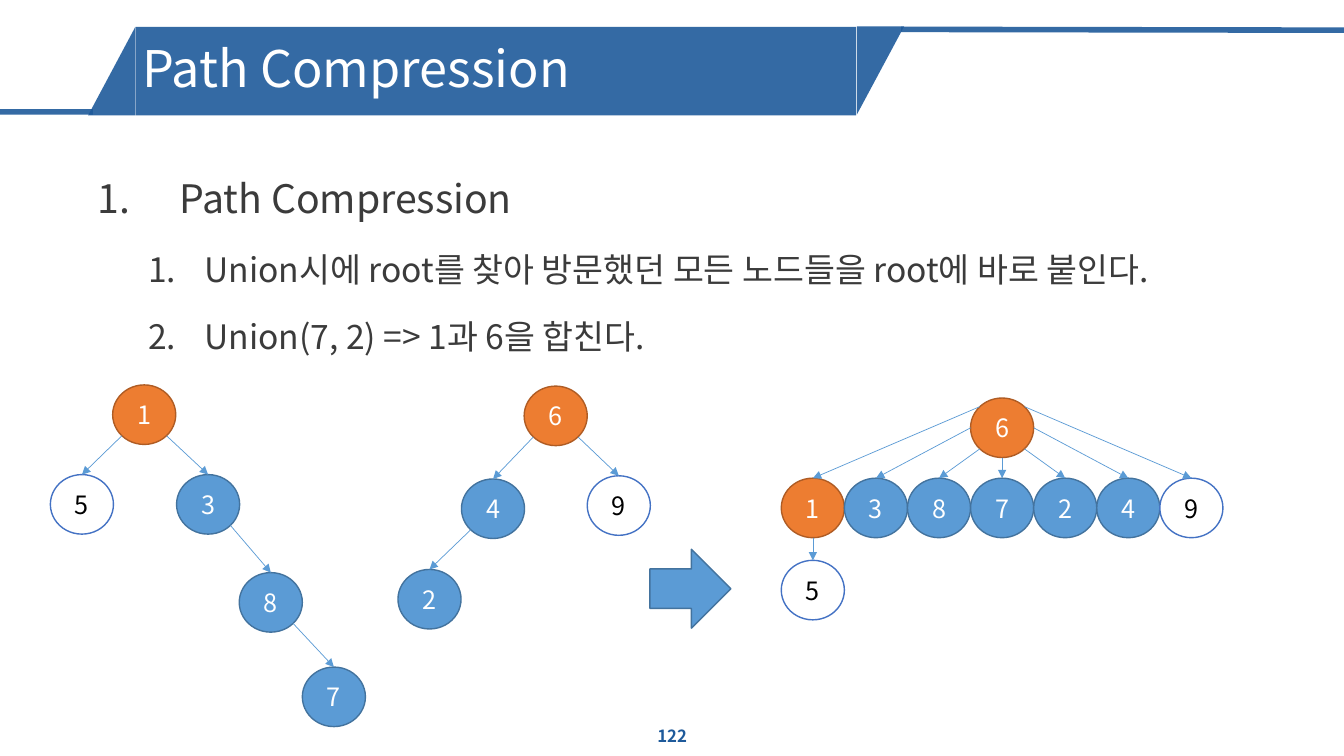
from lxml import etree
from pptx import Presentation
from pptx import util as u
from pptx.dml.color import RGBColor
from pptx.enum import shapes, text
from pptx.oxml.ns import qn

Cm, Pt = u.Cm, u.Pt
SHAPE, ALIGN = shapes.MSO_SHAPE, text.PP_ALIGN
FONT = "Noto Sans CJK KR"
COLORS = {"banner": "1E5A9B", "white": "FFFFFF", "black": "000000", "body": "3B3B3B",
          "orange": "ED7D31", "orange_line": "AF5C24", "blue": "5B9BD5",
          "blue_line": "43739E", "leaf_line": "4472C4"}
RGB = {name: RGBColor.from_string(value) for name, value in COLORS.items()}


def write(p, content, size=18, color="white", bold=False, align=ALIGN.LEFT,
          spacing=1.0, before=0):
    p.alignment, p.line_spacing, p.space_before = align, spacing, Pt(before)
    r = p.add_run()
    r.text = content
    r.font.size, r.font.bold, r.font.name = Pt(size), bold, FONT
    r.font.color.rgb = RGB[color]
    etree.SubElement(r.font._element, qn("a:ea"), typeface=FONT)


def add_line(start, end, color, width, arrow=False):
    points = [Cm(v) for v in (*start, *end)]
    c = s.shapes.add_connector(shapes.MSO_CONNECTOR.STRAIGHT, *points)
    c.line.color.rgb, c.line.width = RGB[color], Pt(width)
    if arrow:
        etree.SubElement(c.line._get_or_add_ln(), qn("a:tailEnd"), type="triangle")
    etree.SubElement(c._element.spPr, qn("a:effectLst"))
    return c


prs = Presentation()
prs.slide_width, prs.slide_height = Cm(33.87), Cm(19.05)
s = prs.slides.add_slide(prs.slide_layouts[1])
title, body = s.placeholders

# Banner: a bar with slanted ends and a rule on each side
banner = [add_line((2.34, 2.82), (0, 2.82), "banner", 4),
          add_line((33.87, 0.76), (22.71, 0.74), "banner", 4)]
for kind, left, top, width, height, turn in [
        (SHAPE.RIGHT_TRIANGLE, 21.08, 1.18, 2.22, 1.19, 90),
        (SHAPE.RIGHT_TRIANGLE, 1.7, 1.2, 2.23, 1.19, 270),
        (SHAPE.RECTANGLE, 3.42, 0.68, 18.16, 2.23, 0)]:
    sp = s.shapes.add_shape(kind, Cm(left), Cm(top), Cm(width), Cm(height))
    sp.rotation = turn
    sp.shadow.inherit = False
    sp.fill.solid()
    sp.fill.fore_color.rgb = RGB["banner"]
    sp.line.fill.background()
    banner.append(sp)
for sp in banner:
    for clr in sp._element.spPr.iter(qn("a:srgbClr")):
        etree.SubElement(clr, qn("a:alpha"), val="90000")
    s.shapes._spTree.remove(sp._element)
    title._element.addprevious(sp._element)

# Title and numbered list
for sp, box, anchor in [(title, (3.33, 0.76, 18.16, 2.06), text.MSO_ANCHOR.MIDDLE),
                        (body, (2.21, 3.68, 29.16, 14.25), text.MSO_ANCHOR.TOP)]:
    sp.left, sp.top, sp.width, sp.height = map(Cm, box)
    tf = sp.text_frame
    tf.word_wrap, tf.auto_size, tf.vertical_anchor = True, text.MSO_AUTO_SIZE.NONE, anchor
write(title.text_frame.paragraphs[0], "Path Compression", size=36, spacing=0.9)

items = [(0, "Path Compression", 28),
         (1, "Union시에 root를 찾아 방문했던 모든 노드들을 root에 바로 붙인다.", 24),
         (1, "Union(7, 2) => 1과 6을 합친다.", 24)]
tf = body.text_frame
for i, (level, content, size) in enumerate(items):
    p = tf.add_paragraph() if i else tf.paragraphs[0]
    p.level = level
    margin, indent = [(2.06, -2.06), (2.69, -1.42)][level]
    pPr = p._p.get_or_add_pPr()
    pPr.set("marL", str(Cm(margin)))
    pPr.set("indent", str(Cm(indent)))
    etree.SubElement(pPr, qn("a:buFont"), typeface="+mj-lt")
    etree.SubElement(pPr, qn("a:buAutoNum"), type="arabicPeriod")
    write(p, content, size=size, color="body", spacing=1.5, before=5 if i else 0)

# Page number
tb = s.shapes.add_textbox(Cm(13.13), Cm(18.03), Cm(7.62), Cm(1.02))
tf = tb.text_frame
tf.word_wrap, tf.vertical_anchor = True, text.MSO_ANCHOR.MIDDLE
write(tf.paragraphs[0], "122", size=12, color="banner", bold=True, align=ALIGN.CENTER)

# Trees before and after the union: node label -> left, top
W, H = 1.59, 1.5
before = {"1": (2.84, 9.7), "5": (1.27, 11.96), "3": (4.45, 11.96), "8": (6.03, 14.43),
          "7": (7.62, 16.81), "6": (13.21, 9.73), "4": (11.63, 12.07), "9": (14.8, 11.99),
          "2": (10.03, 14.35)}
after = {label: (19.69 + W * i, 12.05) for i, label in enumerate("1387249")}
after.update({"6": (24.46, 10.03), "5": (19.69, 14.12)})

STYLES = {"root": ("orange", "orange_line", "white"), "leaf": ("white", "leaf_line", "black"),
          "inner": ("blue", "blue_line", "white")}
roles = {"1": "root", "6": "root", "5": "leaf", "9": "leaf"}
for tree in (before, after):
    for label, (left, top) in tree.items():
        fill, line, ink = STYLES[roles.get(label, "inner")]
        sp = s.shapes.add_shape(SHAPE.OVAL, Cm(left), Cm(top), Cm(W), Cm(H))
        sp.shadow.inherit = False
        sp.fill.solid()
        sp.fill.fore_color.rgb = RGB[fill]
        sp.line.color.rgb, sp.line.width = RGB[line], Pt(1)
        sp.text_frame.vertical_anchor = text.MSO_ANCHOR.MIDDLE
        write(sp.text_frame.paragraphs[0], label, color=ink, align=ALIGN.CENTER)

# Edges: each leaves the parent's rim and ends on top of the child
D = 0.71  # diagonal point of the rim, as a share of the radius
RIM = {"upper left": (-D, -D), "left": (-1, 0), "lower left": (-D, D), "bottom": (0, 1),
       "lower right": (D, D), "right": (1, 0), "upper right": (D, -D)}
edges = [(before, parent, child, rim) for parent, child, rim in [
    ("1", "5", "lower left"), ("1", "3", "lower right"), ("3", "8", "lower right"),
    ("8", "7", "lower right"), ("6", "4", "lower left"), ("6", "9", "lower right"),
    ("4", "2", "lower left")]]
edges += [(after, "6", child, rim) for child, rim in zip("1387249", RIM)]
edges.append((after, "1", "5", "bottom"))
for tree, parent, child, rim in edges:
    (px, py), (cx, cy), (dx, dy) = tree[parent], tree[child], RIM[rim]
    add_line((px + W / 2 * (1 + dx), py + H / 2 * (1 + dy)), (cx + W / 2, cy),
             "blue", 0.5, arrow=True)

# Arrow between the two states
sp = s.shapes.add_shape(SHAPE.RIGHT_ARROW, Cm(16.38), Cm(13.84), Cm(2.04), Cm(1.99))
sp.shadow.inherit = False
sp.fill.solid()
sp.fill.fore_color.rgb = RGB["blue"]
sp.line.color.rgb, sp.line.width = RGB["blue_line"], Pt(1)

prs.save("out.pptx")
